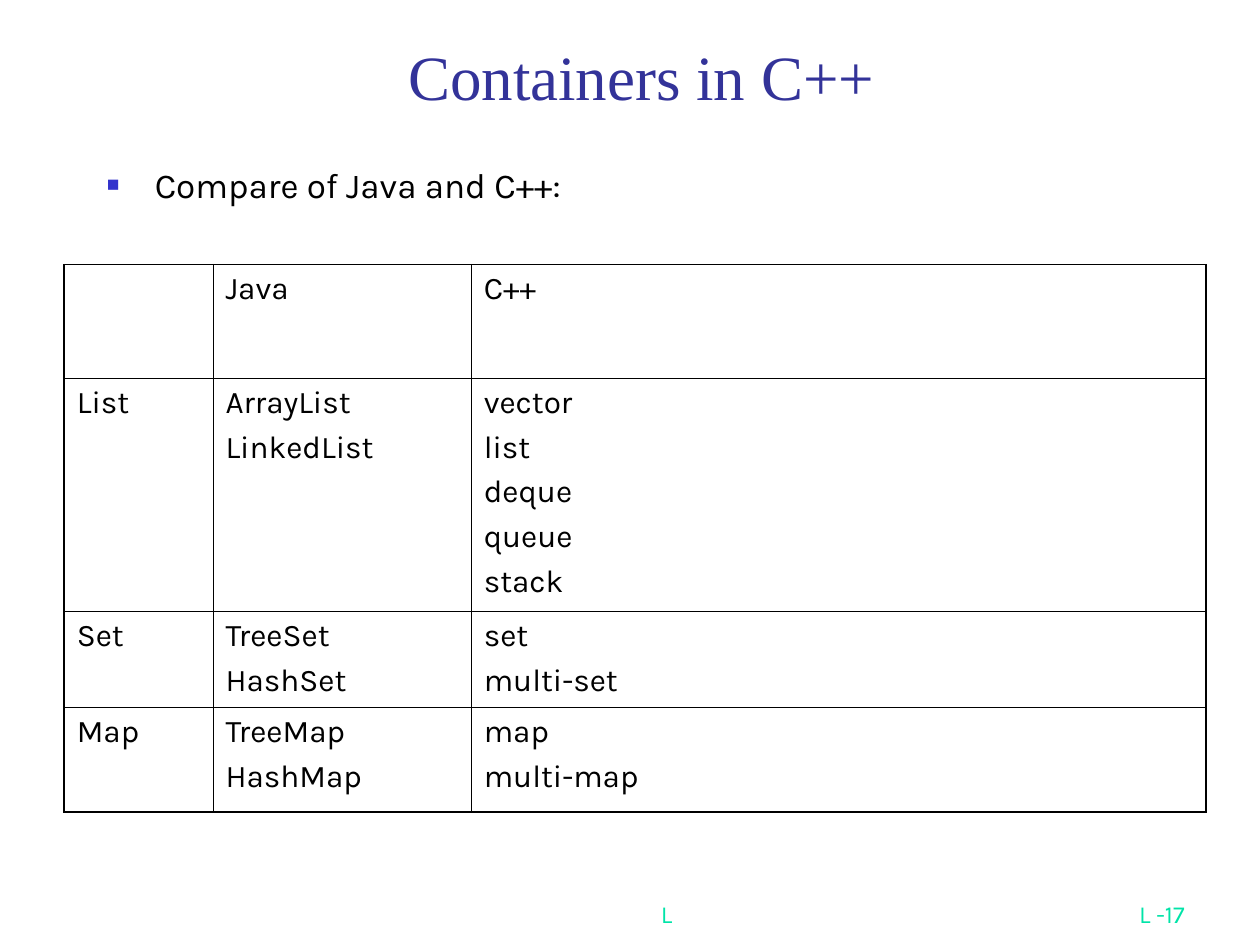
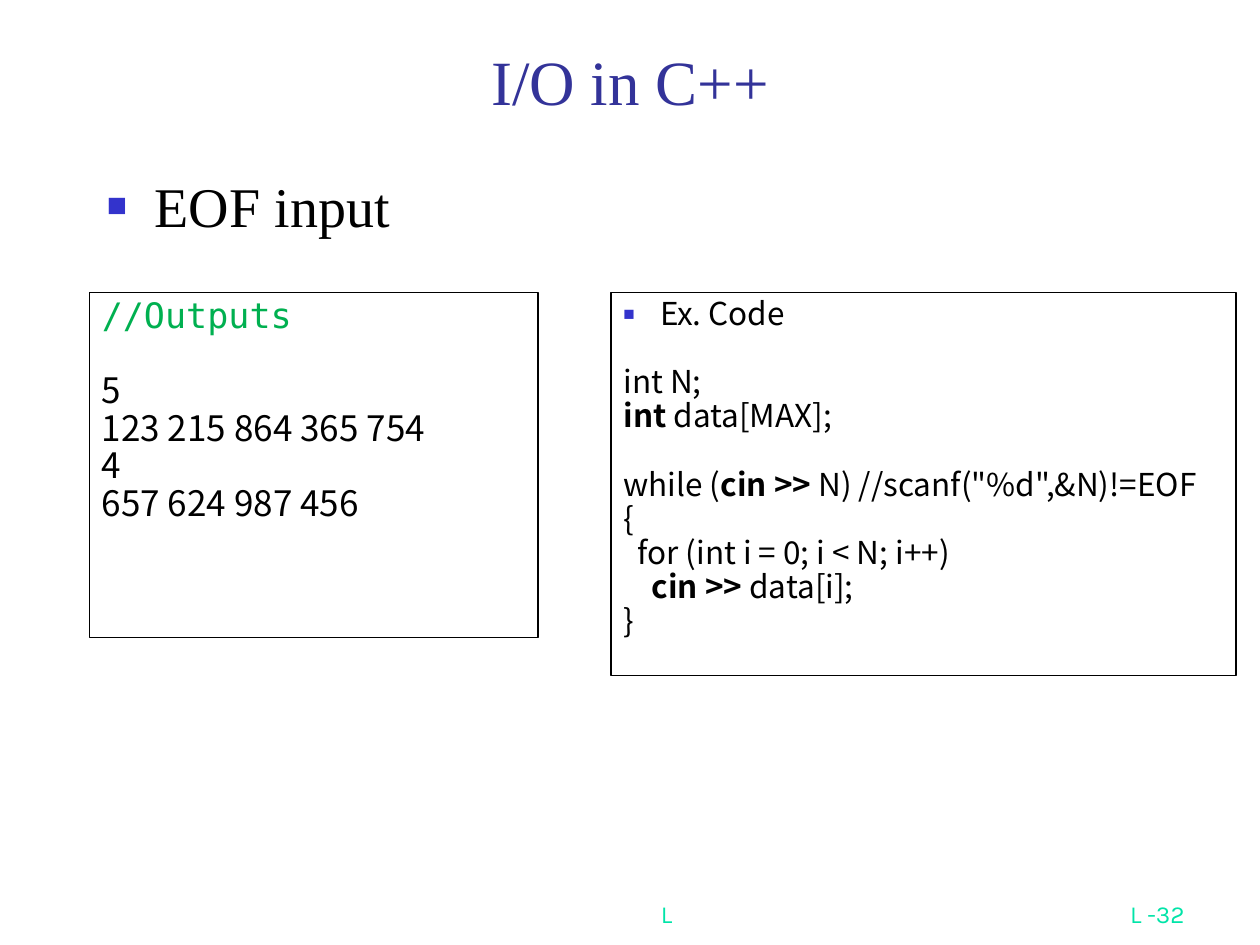
import lxml.etree
import pptx
import pptx.dml.color
import pptx.enum.shapes
import pptx.enum.text
import pptx.oxml.ns
import pptx.util

Inches = pptx.util.Inches
Pt = pptx.util.Pt
ALIGN = pptx.enum.text.PP_ALIGN
ANCHOR = pptx.enum.text.MSO_ANCHOR

# Theme: colours, fonts and type sizes
THEME = {
    "ink": "000000",
    "bullet": "3333CC",
    "title": {"name": "Times New Roman", "size": 36, "color": "333399"},
    "topic": {"name": "Karla", "size": 20, "color": "000000"},
    "big_topic": {"name": "Times New Roman", "size": 32, "color": "000000"},
    "cell": {"name": "Karla", "size": 18, "color": "000000"},
    "footer": {"name": "Karla", "size": 14, "color": "00E4A8"},
    "comment": {"name": "DejaVu Sans Mono", "size": 20, "color": "00B050"},
    "data": {"name": "Noto Sans CJK SC", "size": 20, "color": "000000"},
    "code": {"name": "Noto Sans CJK SC", "size": 18, "color": "000000"},
    "keyword": {"name": "Noto Sans CJK SC", "size": 18, "color": "000000", "bold": True},
    "outer_line": 1.08,
    "inner_line": 0.45,
    "box_line": 0.75,
}

# Content: a paragraph is a dict of format values and its (text, style) runs
CONTAINERS = {
    "title": ("Containers in C++", (0.83, 0.21, 8.52, 0.74)),
    "topic": ("Compare of Java and C++:", "topic", (0.75, 1.31, 8.35, 0.63), {"line_spacing": 0.8}),
    "number": 17,
}
CONTAINER_TABLE = [
    ([], ["Java"], ["C++"]),
    (["List"], ["ArrayList", "LinkedList"], ["vector", "list", "deque", "queue", "stack"]),
    (["Set"], ["TreeSet", "HashSet"], ["set", "multi-set"]),
    (["Map"], ["TreeMap", "HashMap"], ["map", "multi-map"]),
]
TABLE_PLACE = (0.51, 2.1)
COLUMN_WIDTHS = (1.18, 2.05, 5.83)
ROW_HEIGHTS = (0.9, 1.85, 0.76, 0.83)

INPUT_OUTPUT = {
    "title": ("I/O in C++", (0.74, 0.25, 8.52, 0.74)),
    "topic": ("EOF input", "big_topic", (0.75, 1.31, 8.75, 0.74), {}),
    "number": 32,
}
OUTPUT_LINES = [
    ({}, [("//Outputs", "comment")]),
    ({"space_before": Pt(21)}, [("5", "data")]),
    ({}, [("123 215 864 365 754", "data")]),
    ({}, [("4", "data")]),
    ({}, [("657 624 987 456", "data")]),
]
CODE_LINES = [
    ({"bullet_indent": 0.29}, [("Ex. Code", "code")]),
    ({"space_before": Pt(19.5)}, [("int N;", "code")]),
    ({}, [("int", "keyword"), (" data[MAX];", "code")]),
    ({"space_before": Pt(19.5)},
     [("while (", "code"), ("cin >>", "keyword"), (' N) //scanf("%d",&N)!=EOF', "code")]),
    ({}, [("{", "code")]),
    ({}, [("  for (int i = 0; i < N; i++)", "code")]),
    ({}, [("    ", "code"), ("cin >>", "keyword"), (" data[i];", "code")]),
    ({}, [("}", "code")]),
]
BOXES = [
    (OUTPUT_LINES, (0.71, 2.32, 3.56, 2.74)),
    (CODE_LINES, (4.85, 2.32, 4.96, 3.04)),
]


def rgb(value):
    return pptx.dml.color.RGBColor.from_string(value)


def add_child(parent, tag, **attributes):
    child = lxml.etree.SubElement(parent, pptx.oxml.ns.qn(tag))
    for name, value in attributes.items():
        child.set(name, str(value))
    return child


def add_bullet(paragraph, indent):
    properties = paragraph._p.get_or_add_pPr()
    properties.set("marL", str(Inches(indent)))
    properties.set("indent", str(-Inches(indent)))
    add_child(add_child(properties, "a:buClr"), "a:srgbClr", val=THEME["bullet"])
    add_child(properties, "a:buSzPct", val=60000)
    add_child(properties, "a:buFont", typeface="Arial")
    add_child(properties, "a:buChar", char="■")


def fill_text(frame, paragraphs, **shared):
    """Write paragraphs into a text frame; shared values apply to each of them."""
    for index, (values, runs) in enumerate(paragraphs):
        paragraph = frame.add_paragraph() if index else frame.paragraphs[0]
        values = {**shared, **values}
        indent = values.pop("bullet_indent", None)
        if index == 0:
            values.pop("space_before", None)
        if indent:
            add_bullet(paragraph, indent)
        for name, value in values.items():
            setattr(paragraph, name, value)
        for text, style in runs:
            run = paragraph.add_run()
            run.text = text
            for name, value in THEME[style].items():
                if name == "color":
                    run.font.color.rgb = rgb(value)
                else:
                    setattr(run.font, name, Pt(value) if name == "size" else value)


def add_text(slide, place, text, style, anchor=ANCHOR.TOP, **values):
    frame = slide.shapes.add_textbox(*map(Inches, place)).text_frame
    frame.word_wrap = True
    frame.vertical_anchor = anchor
    fill_text(frame, [(values, [(text, style)])])


def add_base_slide(presentation, content):
    """Footer, title and bulleted topic that every slide has."""
    slide = presentation.slides.add_slide(presentation.slide_layouts[6])
    add_text(slide, (2.58, 6.92, 5.42, 0.5), "L", "footer", ANCHOR.BOTTOM, alignment=ALIGN.CENTER)
    add_text(slide, (7.42, 6.92, 2.08, 0.5), f"L -{content['number']}", "footer",
             ANCHOR.BOTTOM, alignment=ALIGN.RIGHT)
    title, place = content["title"]
    add_text(slide, place, title, "title", ANCHOR.BOTTOM, alignment=ALIGN.CENTER)
    topic, style, place, values = content["topic"]
    add_text(slide, place, topic, style, bullet_indent=0.38, **values)
    return slide


def set_borders(cell, outer_sides):
    properties = cell._tc.get_or_add_tcPr()
    for side, is_outer in outer_sides.items():
        width = THEME["outer_line" if is_outer else "inner_line"]
        line = add_child(properties, f"a:ln{side}", w=Pt(width))
        add_child(add_child(line, "a:solidFill"), "a:srgbClr", val=THEME["ink"])


def add_container_table(slide):
    row_count, column_count = len(ROW_HEIGHTS), len(COLUMN_WIDTHS)
    size = (sum(COLUMN_WIDTHS), sum(ROW_HEIGHTS))
    table = slide.shapes.add_table(row_count, column_count, *map(Inches, TABLE_PLACE + size)).table
    table.first_row = table.horz_banding = False
    for column, width in zip(table.columns, COLUMN_WIDTHS):
        column.width = Inches(width)
    for row, height in zip(table.rows, ROW_HEIGHTS):
        row.height = Inches(height)
    for row, entries in enumerate(CONTAINER_TABLE):
        for column, names in enumerate(entries):
            cell = table.cell(row, column)
            set_borders(cell, {"L": column == 0, "R": column == column_count - 1,
                               "T": row == 0, "B": row == row_count - 1})
            cell.fill.background()
            paragraphs = [({}, [(name, "cell")]) for name in names]
            fill_text(cell.text_frame, paragraphs, space_before=Pt(4.5))


def add_box(slide, lines, place):
    box = slide.shapes.add_shape(pptx.enum.shapes.MSO_SHAPE.RECTANGLE, *map(Inches, place))
    box.shadow.inherit = False
    box.fill.background()
    box.line.color.rgb = rgb(THEME["ink"])
    box.line.width = Pt(THEME["box_line"])
    box.text_frame.word_wrap = True
    box.text_frame.vertical_anchor = ANCHOR.TOP
    fill_text(box.text_frame, lines, alignment=ALIGN.LEFT, line_spacing=0.9)


def main():
    presentation = pptx.Presentation()
    presentation.slide_width, presentation.slide_height = Inches(10), Inches(7.5)

    # Container comparison
    add_container_table(add_base_slide(presentation, CONTAINERS))

    # Reading input until end of file
    slide = add_base_slide(presentation, INPUT_OUTPUT)
    for lines, place in BOXES:
        add_box(slide, lines, place)

    presentation.save("out.pptx")


if __name__ == "__main__":
    main()
